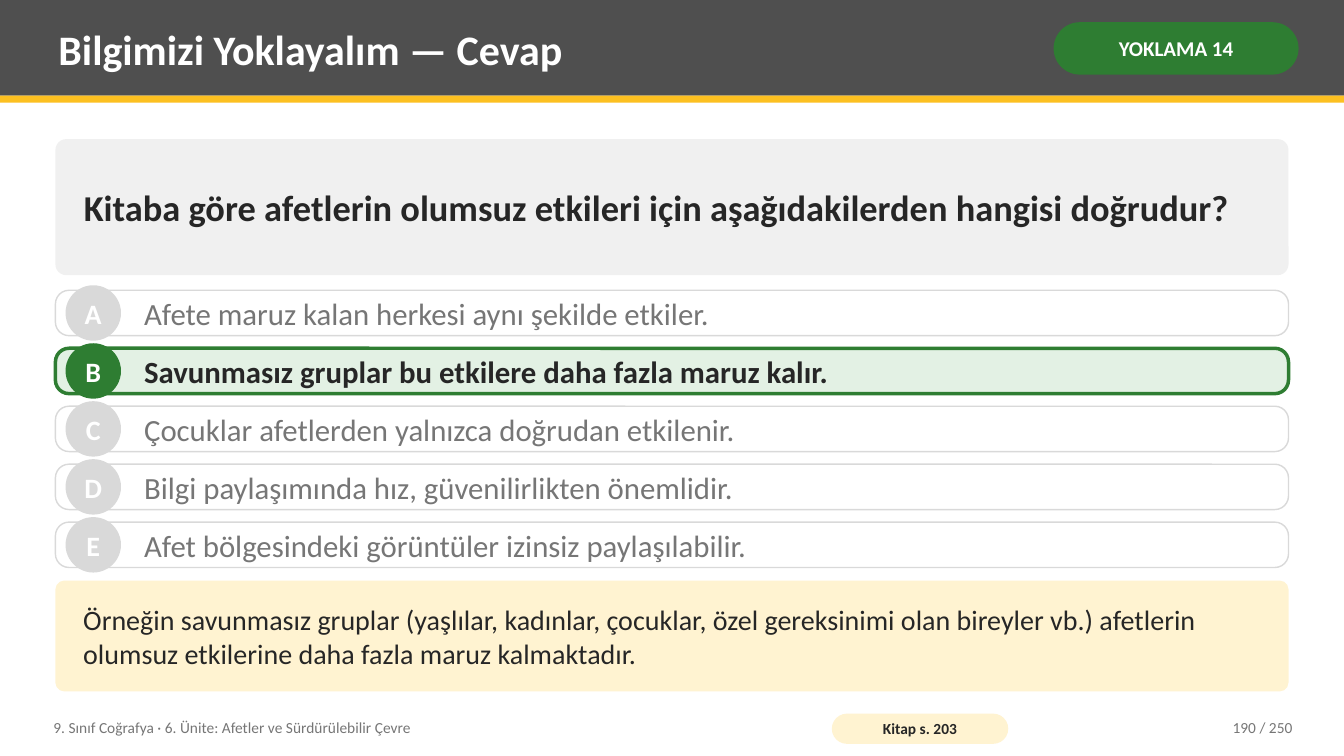
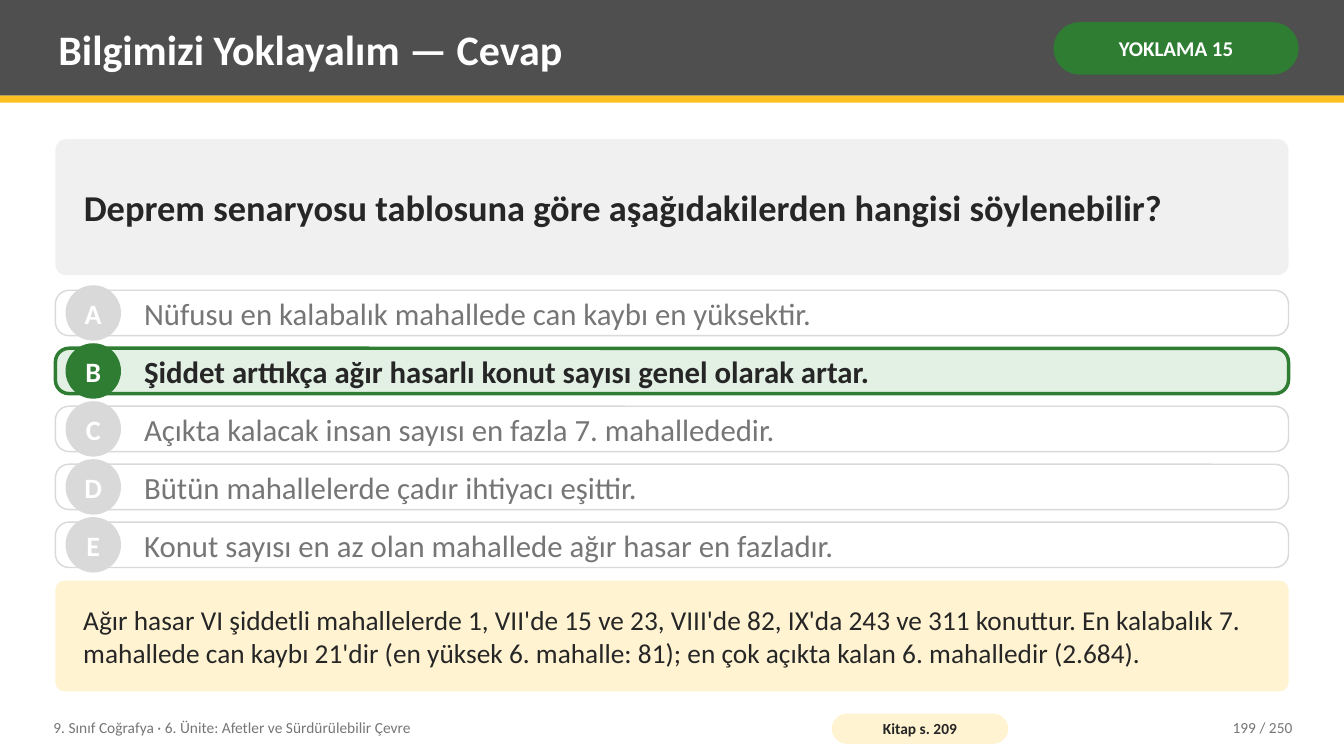
import pptx
import pptx.dml.color
import pptx.enum.shapes
import pptx.enum.text
import pptx.util

Inches = pptx.util.Inches
SHAPE = pptx.enum.shapes.MSO_SHAPE
ALIGN = pptx.enum.text.PP_ALIGN

FONT = "Calibri"
WHITE, INK, MUTED = "FFFFFF", "262626", "767676"
BAND, GOLD, CREAM = "4F4F4F", "FCC021", "FFF3D1"
GREEN, MINT = "2E7D32", "E3F1E4"
PANEL, RULE = "F0F0F0", "D9D9D9"

WIDTH, HEIGHT = 13.33, 7.5
MARGIN, CONTENT = 0.55, 12.23
TITLE = "Bilgimizi Yoklayalım — Cevap"
UNIT = "9. Sınıf Coğrafya · 6. Ünite: Afetler ve Sürdürülebilir Çevre"
TOTAL = 250

SLIDES = [
    dict(
        check=14, book=203, page=190, answer="B", note_size=20,
        question="Kitaba göre afetlerin olumsuz etkileri için aşağıdakilerden hangisi doğrudur?",
        options=[
            "Afete maruz kalan herkesi aynı şekilde etkiler.",
            "Savunmasız gruplar bu etkilere daha fazla maruz kalır.",
            "Çocuklar afetlerden yalnızca doğrudan etkilenir.",
            "Bilgi paylaşımında hız, güvenilirlikten önemlidir.",
            "Afet bölgesindeki görüntüler izinsiz paylaşılabilir.",
        ],
        note="Örneğin savunmasız gruplar (yaşlılar, kadınlar, çocuklar, özel gereksinimi "
             "olan bireyler vb.) afetlerin olumsuz etkilerine daha fazla maruz kalmaktadır.",
    ),
    dict(
        check=15, book=209, page=199, answer="B", note_size=19.5,
        question="Deprem senaryosu tablosuna göre aşağıdakilerden hangisi söylenebilir?",
        options=[
            "Nüfusu en kalabalık mahallede can kaybı en yüksektir.",
            "Şiddet arttıkça ağır hasarlı konut sayısı genel olarak artar.",
            "Açıkta kalacak insan sayısı en fazla 7. mahallededir.",
            "Bütün mahallelerde çadır ihtiyacı eşittir.",
            "Konut sayısı en az olan mahallede ağır hasar en fazladır.",
        ],
        note="Ağır hasar VI şiddetli mahallelerde 1, VII'de 15 ve 23, VIII'de 82, IX'da 243 "
             "ve 311 konuttur. En kalabalık 7. mahallede can kaybı 21'dir (en yüksek "
             "6. mahalle: 81); en çok açıkta kalan 6. mahalledir (2.684).",
    ),
]


def rgb(value):
    """Turn a hex string into a colour."""
    return pptx.dml.color.RGBColor.from_string(value)


def put_text(sp, text, size=11, color=INK, bold=False, align=ALIGN.LEFT,
             inset=(0.08, 0.04), wrap=True):
    """Write one formatted, vertically centred paragraph into a shape."""
    tf = sp.text_frame
    tf.auto_size = pptx.enum.text.MSO_AUTO_SIZE.NONE
    tf.word_wrap = wrap
    tf.vertical_anchor = pptx.enum.text.MSO_ANCHOR.MIDDLE
    tf.margin_left = tf.margin_right = Inches(inset[0])
    tf.margin_top = tf.margin_bottom = Inches(inset[1])
    p = tf.paragraphs[0]
    p.alignment = align
    r = p.add_run()
    r.text = text
    r.font.name = FONT
    r.font.size = pptx.util.Pt(size)
    r.font.bold = bold
    r.font.color.rgb = rgb(color)


def add_box(s, box, fill, kind=SHAPE.RECTANGLE, radius=None, line=None, weight=1):
    """Add a flat filled shape, with an outline if a line colour is given."""
    sp = s.shapes.add_shape(kind, *map(Inches, box))
    sp.shadow.inherit = False
    sp.fill.solid()
    sp.fill.fore_color.rgb = rgb(fill)
    if radius is not None:
        sp.adjustments[0] = radius
    if line:
        sp.line.color.rgb = rgb(line)
        sp.line.width = pptx.util.Pt(weight)
    else:
        sp.line.fill.background()
    return sp


def add_round(s, box, fill, radius, **style):
    """Add a rounded rectangle."""
    return add_box(s, box, fill, SHAPE.ROUNDED_RECTANGLE, radius, **style)


def add_label(s, box, text, **style):
    """Add a text box."""
    put_text(s.shapes.add_textbox(*map(Inches, box)), text, **style)


def add_header(s, box, tag):
    """Draw the title band with its gold rule, title and green tag."""
    x, y, w, h = box
    band = add_box(s, box, BAND)
    add_box(s, (x, y + h, w, 0.07), GOLD)
    title = s.shapes.title
    title.left, title.top = Inches(x + 0.5), Inches(y + 0.07)
    title.width, title.height = Inches(9.75), Inches(0.82)
    put_text(title, TITLE, size=30, color=WHITE, bold=True)
    band.element.addnext(title.element)
    pill = add_round(s, (x + w - 2.88, y + 0.22, 2.43, 0.52), GREEN, 0.5)
    put_text(pill, tag, size=15, color=WHITE, bold=True, align=ALIGN.CENTER,
             inset=(0.05, 0.02))


def add_panel(s, box, text, fill, **style):
    """Draw a wide text panel."""
    put_text(add_round(s, box, fill, 0.08), text, inset=(0.25, 0.08), **style)


def add_option(s, box, letter, text, correct):
    """Draw one answer row with its letter disc."""
    x, y, w, h = box
    disc = 0.55
    accent = GREEN if correct else RULE
    add_round(s, box, MINT if correct else WHITE, 0.3, line=accent,
              weight=2.5 if correct else 1)
    dot = add_box(s, (x + 0.1, y + (h - disc) / 2, disc, disc), accent, SHAPE.OVAL)
    put_text(dot, letter, size=20, color=WHITE, bold=True, align=ALIGN.CENTER,
             inset=(0, 0), wrap=False)
    add_label(s, (x + 0.8, y, w - 1, h), text, size=22,
              color=INK if correct else MUTED, bold=correct)


def add_options(s, box, options, answer):
    """Spread the answer rows evenly over a box."""
    x, y, w, h = box
    row = 0.45
    pitch = (h - row) / (len(options) - 1)
    for i, (letter, text) in enumerate(zip("ABCDE", options)):
        add_option(s, (x, y + i * pitch, w, row), letter, text, letter == answer)


def add_footer(s, box, book, page):
    """Draw the unit name, book page pill and slide count."""
    x, y, w, h = box
    add_label(s, (x, y, 7.6, h), UNIT, color=MUTED)
    pill = add_round(s, (x + 7.8, y + 0.04, 1.75, 0.3), CREAM, 0.5)
    put_text(pill, f"Kitap s. {book}", bold=True, align=ALIGN.CENTER, inset=(0.04, 0))
    add_label(s, (x + w - 1.6, y, 1.6, h), f"{page} / {TOTAL}", color=MUTED,
              align=ALIGN.RIGHT)


def add_answer_slide(prs, data):
    """Build one answer slide."""
    s = prs.slides.add_slide(prs.slide_layouts[5])
    s.background.fill.solid()
    s.background.fill.fore_color.rgb = rgb(WHITE)
    add_header(s, (0, 0, WIDTH, 0.95), f"YOKLAMA {data['check']}")
    add_panel(s, (MARGIN, 1.38, CONTENT, 1.35), data["question"], PANEL,
              size=26, bold=True)
    add_options(s, (MARGIN, 2.88, CONTENT, 2.75), data["options"], data["answer"])
    add_panel(s, (MARGIN, 5.76, CONTENT, 1.1), data["note"], CREAM,
              size=data["note_size"])
    add_footer(s, (0.45, 7.04, 12.45, 0.36), data["book"], data["page"])


def main():
    """Build and save the presentation."""
    prs = pptx.Presentation()
    prs.slide_width, prs.slide_height = Inches(WIDTH), Inches(HEIGHT)
    for data in SLIDES:
        add_answer_slide(prs, data)
    prs.save("out.pptx")


if __name__ == "__main__":
    main()
